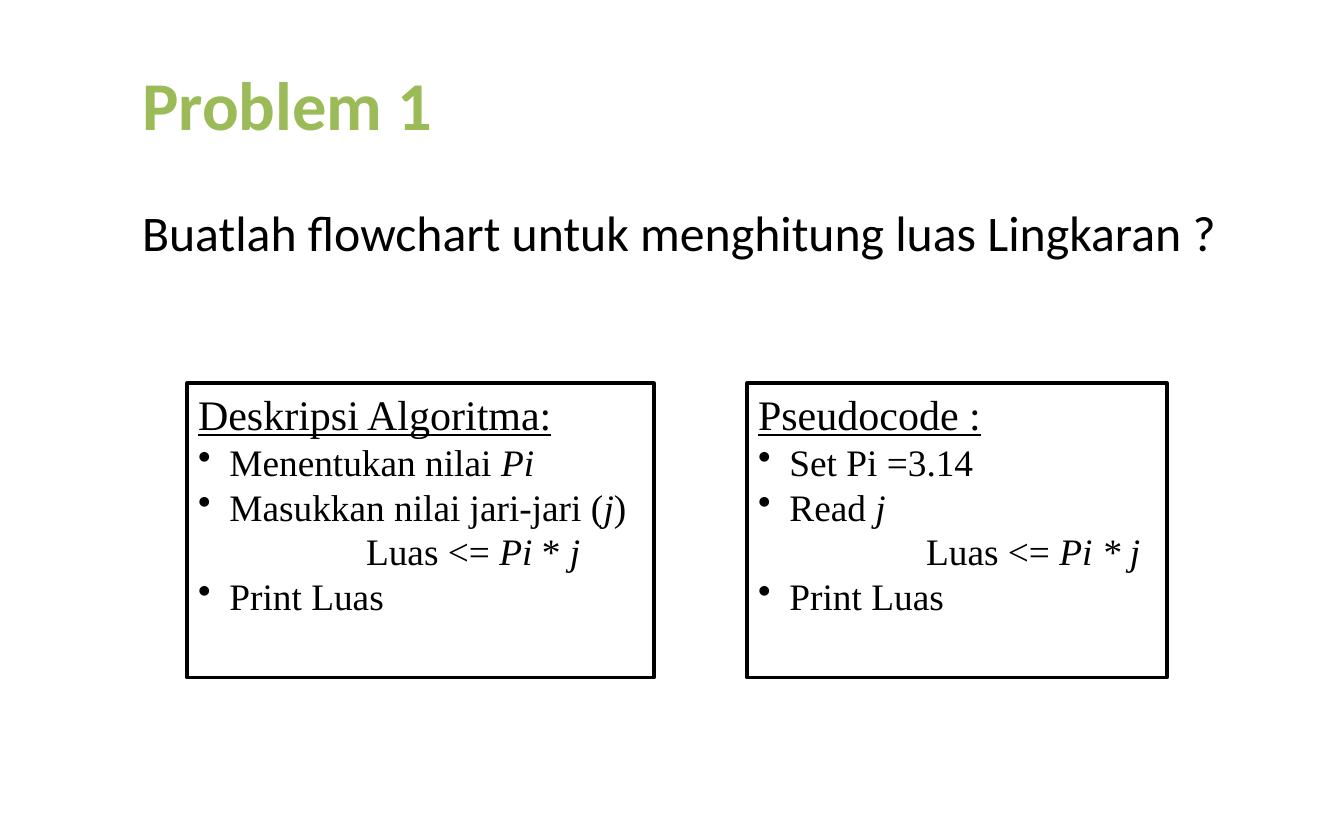
"""Build the flowchart exercise slide with its algorithm and pseudocode boxes."""
import pptx
import pptx.dml.color
import pptx.enum.shapes
import pptx.enum.text
import pptx.oxml.ns
import pptx.util
from lxml import etree

Inches = pptx.util.Inches
GREEN = pptx.dml.color.RGBColor(0x9B, 0xBB, 0x59)
BLACK = pptx.dml.color.RGBColor(0, 0, 0)
WHITE = pptx.dml.color.RGBColor(255, 255, 255)
LEFT = pptx.enum.text.PP_ALIGN.LEFT
TOP = pptx.enum.text.MSO_ANCHOR.TOP
MIDDLE = pptx.enum.text.MSO_ANCHOR.MIDDLE


def write(para, text, size, font="Times New Roman", color=BLACK, bold=False, italic=False, underline=False):
    span = para.add_run()
    span.text = text
    span.font.size = pptx.util.Pt(size)
    span.font.name = font
    span.font.color.rgb = color
    span.font.bold = bold
    span.font.italic = italic
    span.font.underline = underline
    para.alignment = LEFT


def set_frame(frame, anchor):
    frame.word_wrap = True
    frame.auto_size = pptx.enum.text.MSO_AUTO_SIZE.NONE
    frame.vertical_anchor = anchor


deck = pptx.Presentation()
deck.slide_width, deck.slide_height = Inches(12), Inches(7.5)
page = deck.slides.add_slide(deck.slide_layouts[5])

title = page.shapes.title
title.left, title.top, title.width, title.height = Inches(1.17), Inches(0.3), Inches(10.23), Inches(1.25)
set_frame(title.text_frame, MIDDLE)
write(title.text_frame.paragraphs[0], "Problem 1", size=44, font="Calibri", color=GREEN, bold=True)

question = page.shapes.add_textbox(Inches(1.17), Inches(1.75), Inches(10.23), Inches(4.95))
set_frame(question.text_frame, TOP)
write(question.text_frame.paragraphs[0], "Buatlah flowchart untuk menghitung luas Lingkaran ?", size=32, font="Calibri")

panels = [
    (6.67, 3.75, "Pseudocode :", [
        (True, [("Set Pi =3.14", False)]),
        (True, [("Read ", False), ("j", True)]),
        (False, [("Luas <= ", False), ("Pi * j", True)]),
        (True, [("Print Luas", False)]),
    ]),
    (1.67, 4.17, "Deskripsi Algoritma:", [
        (True, [("Menentukan nilai ", False), ("Pi", True)]),
        (True, [("Masukkan nilai jari-jari (", False), ("j", True), (")", False)]),
        (False, [("Luas <= ", False), ("Pi ", True), ("* ", False), ("j", True)]),
        (True, [("Print Luas", False)]),
    ]),
]
for left, width, heading, steps in panels:
    box = page.shapes.add_shape(
        pptx.enum.shapes.MSO_SHAPE.RECTANGLE, Inches(left), Inches(3.42), Inches(width), Inches(2.63))
    box.shadow.inherit = False
    box.fill.solid()
    box.fill.fore_color.rgb = WHITE
    box.line.color.rgb = BLACK
    box.line.width = pptx.util.Pt(2)
    set_frame(box.text_frame, TOP)
    write(box.text_frame.paragraphs[0], heading, size=27, underline=True)
    for bulleted, pieces in steps:
        para = box.text_frame.add_paragraph()
        properties = para._p.get_or_add_pPr()
        if bulleted:
            properties.set("marL", str(Inches(0.28)))
            properties.set("indent", str(-Inches(0.28)))
            etree.SubElement(properties, pptx.oxml.ns.qn("a:buChar"), char="•")
        else:
            properties.set("marL", str(Inches(1.5)))
            properties.set("indent", "0")
        for text, italic in pieces:
            write(para, text, size=24, italic=italic)

deck.save("out.pptx")
